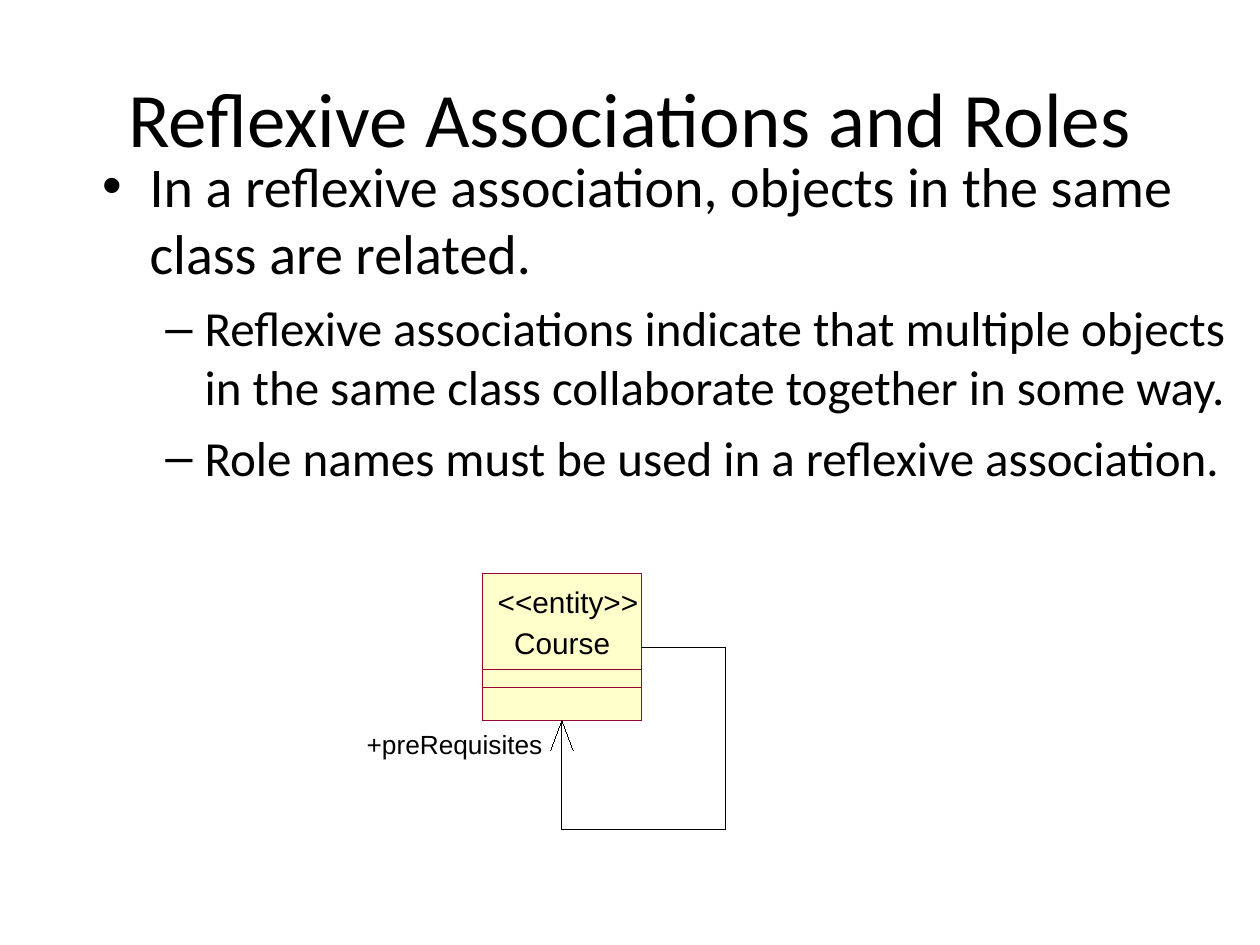
from lxml.etree import SubElement
from pptx import Presentation
from pptx.dml.color import RGBColor
from pptx.enum.shapes import MSO_CONNECTOR, MSO_SHAPE
from pptx.enum.text import MSO_ANCHOR, MSO_AUTO_SIZE, PP_ALIGN
from pptx.oxml.ns import qn
from pptx.util import Pt

COLORS = {"text": "000000", "class_fill": "FFFFCC", "class_line": "990033", "link": "000000"}


def rgb(name):
    return RGBColor.from_string(COLORS[name])


def write(p, text, font="Calibri", size=28, color="text", align=PP_ALIGN.LEFT, before=0):
    p.alignment = align
    p.space_before = Pt(before)
    r = p.add_run()
    r.text = text
    r.font.name, r.font.size = font, Pt(size)
    r.font.color.rgb = rgb(color)


def set_bullet(p, char, margin, hang):
    pPr = p._p.get_or_add_pPr()
    pPr.set("marL", str(Pt(margin)))
    pPr.set("indent", str(-Pt(hang)))
    SubElement(pPr, qn("a:buFont"), typeface="Arial")
    SubElement(pPr, qn("a:buChar"), char=char)


class SlideBuilder:
    """Holds the hairline style and the slide being drawn."""

    hairline = Pt(0.01)  # a width of zero would fall back to the theme's line

    def __init__(self, slide):
        self.slide = slide

    def text_frame(self, x, y, w, h, wrap=True):
        sp = self.slide.shapes.add_textbox(Pt(x), Pt(y), Pt(w), Pt(h))
        tf = sp.text_frame
        tf.word_wrap = wrap
        return tf

    def title(self, text, x, y, w, h):
        tf = self.text_frame(x, y, w, h)
        tf.vertical_anchor = MSO_ANCHOR.MIDDLE
        write(tf.paragraphs[0], text, size=44, align=PP_ALIGN.CENTER)

    def bullets(self, items, x, y, w, h):
        """Fill a box with (level, text) items."""
        levels = [("•", 27, 27, 32), ("–", 58.5, 22.5, 28)]
        tf = self.text_frame(x, y, w, h)
        for i, (level, text) in enumerate(items):
            p = tf.add_paragraph() if i else tf.paragraphs[0]
            char, margin, hang, size = levels[level]
            p.level = level
            set_bullet(p, char, margin, hang)
            write(p, text, size=size, before=7 if i else 0)

    def label(self, text, x, y, w, h, size):
        tf = self.text_frame(x, y, w, h, wrap=False)
        tf.auto_size = MSO_AUTO_SIZE.SHAPE_TO_FIT_TEXT
        tf.margin_left = tf.margin_right = tf.margin_top = tf.margin_bottom = 0
        write(tf.paragraphs[0], text, font="Arial", size=size)

    def outline(self, sp, color):
        sp.line.color.rgb = rgb(color)
        sp.line.width = self.hairline

    def box(self, x, y, w, h, fill=None):
        sp = self.slide.shapes.add_shape(MSO_SHAPE.RECTANGLE, Pt(x), Pt(y), Pt(w), Pt(h))
        sp.shadow.inherit = False
        if fill:
            sp.fill.solid()
            sp.fill.fore_color.rgb = rgb(fill)
        else:
            sp.fill.background()
        self.outline(sp, "class_line")

    def polyline(self, points):
        start, *rest = [(Pt(x), Pt(y)) for x, y in points]
        builder = self.slide.shapes.build_freeform(*start)
        builder.add_line_segments(rest, close=False)
        sp = builder.convert_to_shape()
        sp.shadow.inherit = False
        sp.fill.background()
        self.outline(sp, "link")

    def line(self, x1, y1, x2, y2):
        sp = self.slide.shapes.add_connector(MSO_CONNECTOR.STRAIGHT, Pt(x1), Pt(y1), Pt(x2), Pt(y2))
        self.outline(sp, "link")
        SubElement(sp._element.spPr, qn("a:effectLst"))


def main():
    prs = Presentation()
    prs.slide_width, prs.slide_height = Pt(720), Pt(540)
    s = SlideBuilder(prs.slides.add_slide(prs.slide_layouts[6]))

    s.title("Reflexive Associations and Roles", 36, 21.6, 648, 90)
    s.bullets([
        (0, "In a reflexive association, objects in the same class are related."),
        (1, "Reflexive associations indicate that multiple objects in the same class "
            "collaborate together in some way."),
        (1, "Role names must be used in a reflexive association."),
    ], 51.4, 82.8, 668, 241)

    # Class box, with its compartments sharing one bottom edge
    left, top, width, bottom = 275.6, 327.6, 91, 411.6
    right, middle = left + width, left + width / 2
    s.box(left, top, width, bottom - top, fill="class_fill")
    s.label("Course", 293.8, 357.1, 56, 20.2, size=17)
    for y in (382.8, 392.9):
        s.box(left, y, width, bottom - y)
    s.label("<<entity>>", 284.4, 333.4, 81, 20.2, size=17)

    # Association looping from the class back to itself
    loop_x, loop_top, loop_join, loop_bottom = 414.7, 370, 446.4, 473.8
    head_w, head_h = 6.5, 17.3
    s.polyline([(loop_x, loop_join), (loop_x, loop_bottom), (middle, loop_bottom),
                (middle, bottom), (middle + head_w, bottom + head_h)])
    s.line(middle, bottom, middle - head_w, bottom + head_h)
    s.polyline([(loop_x, loop_join), (loop_x, loop_top), (right, loop_top)])
    s.label("+preRequisites", 209.5, 416.2, 101, 18, size=15)

    prs.save("out.pptx")


if __name__ == "__main__":
    main()
